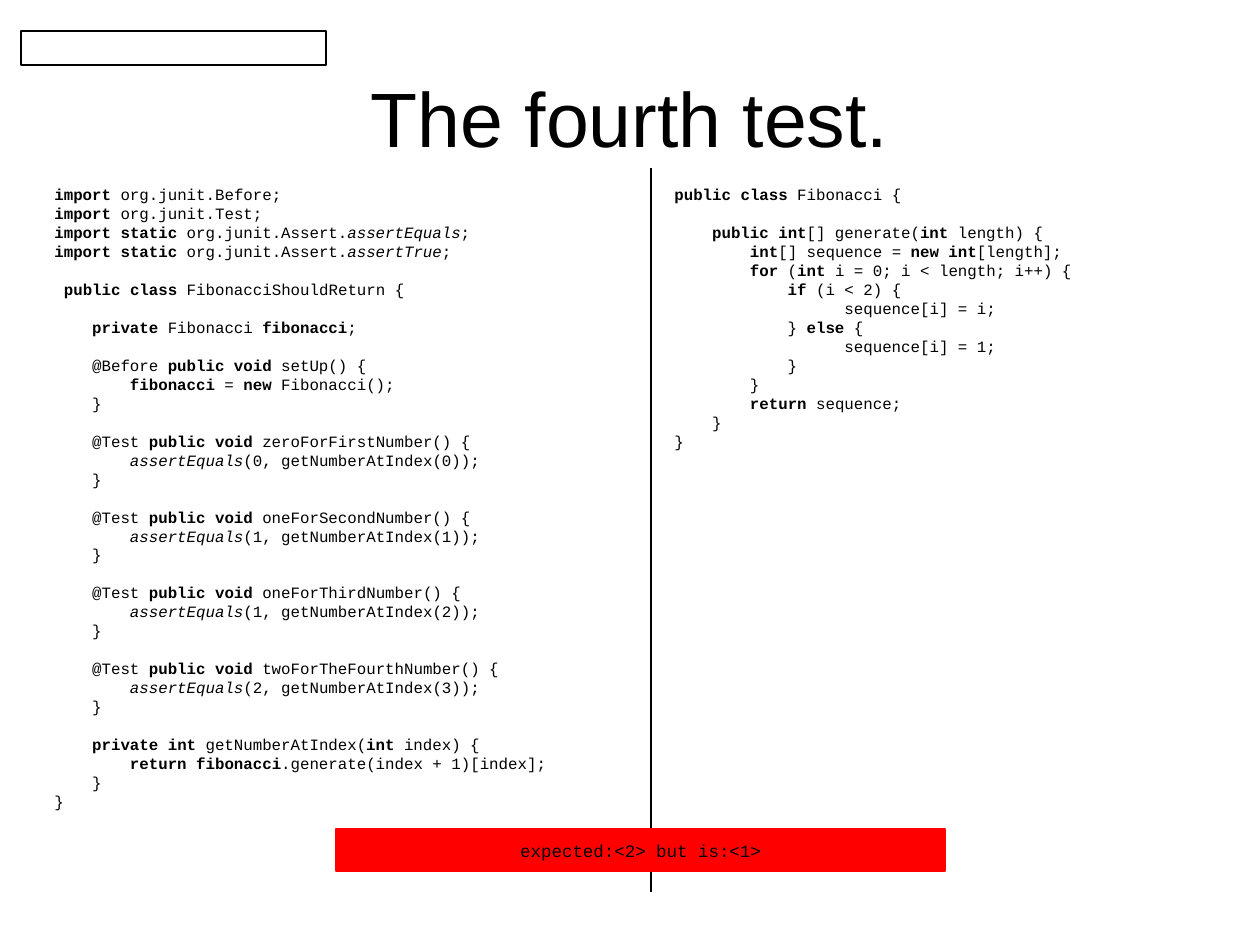
from dataclasses import dataclass

from lxml import etree
from pptx import Presentation
from pptx.dml.color import RGBColor
from pptx.enum.shapes import MSO_CONNECTOR, MSO_SHAPE
from pptx.enum.text import MSO_ANCHOR, PP_ALIGN
from pptx.oxml.ns import qn
from pptx.util import Emu, Pt

RECT = MSO_SHAPE.RECTANGLE
STRAIGHT = MSO_CONNECTOR.STRAIGHT
MIDDLE = MSO_ANCHOR.MIDDLE
CENTER = PP_ALIGN.CENTER
PX_PER_INCH = 126


@dataclass(frozen=True)
class Theme:
    ink: RGBColor = RGBColor(0, 0, 0)
    fail: RGBColor = RGBColor(255, 0, 0)
    title_font: str = "Arial"
    code_font: str = "Courier New"
    title_size: float = 44
    code_size: float = 9
    bar_size: float = 10
    code_leading: float = 10.83
    char_width: float = 5.4
    line_width: float = 0.75


@dataclass(frozen=True)
class Box:
    x: int
    y: int
    w: int
    h: int


@dataclass(frozen=True)
class Listing:
    box: Box
    code: str


THEME = Theme()


def px(n: int) -> Emu:
    return Emu(round(n * 914400 / PX_PER_INCH))


def frame(box: Box) -> tuple[Emu, Emu, Emu, Emu]:
    return px(box.x), px(box.y), px(box.w), px(box.h)


def set_font(target, name: str, size: float) -> None:
    target.font.name = name
    target.font.size = Pt(size)
    target.font.color.rgb = THEME.ink


def add_centred(tf, text: str, name: str, size: float) -> None:
    tf.vertical_anchor = MIDDLE
    p = tf.paragraphs[0]
    p.text = text
    p.alignment = CENTER
    set_font(p, name, size)


def add_rect(s, box: Box, fill: RGBColor | None, line: RGBColor):
    sp = s.shapes.add_shape(RECT, *frame(box))
    sp.shadow.inherit = False
    if fill is None:
        sp.fill.background()
    else:
        sp.fill.solid()
        sp.fill.fore_color.rgb = fill
    sp.line.color.rgb = line
    sp.line.width = Pt(THEME.line_width)
    return sp


def add_divider(s, x: int, top: int, bottom: int) -> None:
    line = s.shapes.add_connector(STRAIGHT, px(x), px(top), px(x), px(bottom))
    line.line.color.rgb = THEME.ink
    line.line.width = Pt(THEME.line_width)
    etree.SubElement(line._element.spPr, qn("a:effectLst"))


def add_code_line(p, line: str, gap: bool) -> None:
    """Indent one code line; *...* is bold and ~...~ is italic."""
    code = line.lstrip()
    indent = Pt((len(line) - len(code)) * THEME.char_width)
    p._p.get_or_add_pPr().set("marL", str(int(indent)))
    p.line_spacing = Pt(THEME.code_leading)
    p.space_before = Pt(THEME.code_leading if gap else 0)
    set_font(p, THEME.code_font, THEME.code_size)
    for i, part in enumerate(code.split("*")):
        for j, text in enumerate(part.split("~")):
            if text:
                r = p.add_run()
                r.text = text
                r.font.bold = i % 2 == 1
                r.font.italic = j % 2 == 1


def add_listing(s, listing: Listing) -> None:
    tf = s.shapes.add_textbox(*frame(listing.box)).text_frame
    tf.word_wrap = True
    p, gap = tf.paragraphs[0], False
    for line in listing.code.strip("\n").split("\n"):
        if line:
            if p.runs:
                p = tf.add_paragraph()
            add_code_line(p, line, gap)
        gap = not line


# Test methods: name, expected value; the index is the position
TESTS = (
    ("zeroForFirstNumber", 0),
    ("oneForSecondNumber", 1),
    ("oneForThirdNumber", 1),
    ("twoForTheFourthNumber", 2),
)
TEST_METHODS = "\n".join(
    f"""    @Test *public void *{name}() {{
        ~assertEquals~({expected}, getNumberAtIndex({index}));
    }}
"""
    for index, (name, expected) in enumerate(TESTS)
)

TEST_CODE = f"""
*import *org.junit.Before;
*import *org.junit.Test;
*import static *org.junit.Assert.~assertEquals~;
*import static *org.junit.Assert.~assertTrue~;

 *public class *FibonacciShouldReturn {{

    *private *Fibonacci *fibonacci*;

    @Before *public void *setUp() {{
        *fibonacci *= *new *Fibonacci();
    }}

{TEST_METHODS}
    *private int *getNumberAtIndex(*int *index) {{
        *return fibonacci*.generate(index + 1)[index];
    }}
}}
"""

CLASS_CODE = """
*public class *Fibonacci {

    *public int*[] generate(*int *length) {
        *int*[] sequence = *new int*[length];
        *for *(*int *i = 0; i < length; i++) {
            *if *(i < 2) {
                  sequence[i] = i;
            } *else *{
                  sequence[i] = 1;
            }
        }
        *return *sequence;
    }
}
"""

LISTINGS = (
    Listing(Box(42, 179, 557, 662), TEST_CODE),
    Listing(Box(662, 179, 557, 280), CLASS_CODE),
)


def main() -> None:
    prs = Presentation()
    prs.slide_width, prs.slide_height = px(1260), px(945)
    s = prs.slides.add_slide(prs.slide_layouts[6])

    # Title
    tf = s.shapes.add_textbox(*frame(Box(63, 38, 1134, 158))).text_frame
    tf.word_wrap = True
    add_centred(tf, "The fourth test.", THEME.title_font, THEME.title_size)

    # Test code and class code, side by side
    for listing in LISTINGS:
        add_listing(s, listing)
    add_divider(s, 651, 168, 892)

    # Empty frame at the top left
    add_rect(s, Box(21, 31, 305, 34), None, THEME.ink)

    # Failed test bar
    bar = add_rect(s, Box(336, 829, 609, 42), THEME.fail, THEME.fail)
    bar.text_frame.word_wrap = False
    add_centred(bar.text_frame, "expected:<2> but is:<1>",
                THEME.code_font, THEME.bar_size)

    prs.save("out.pptx")


if __name__ == "__main__":
    main()
